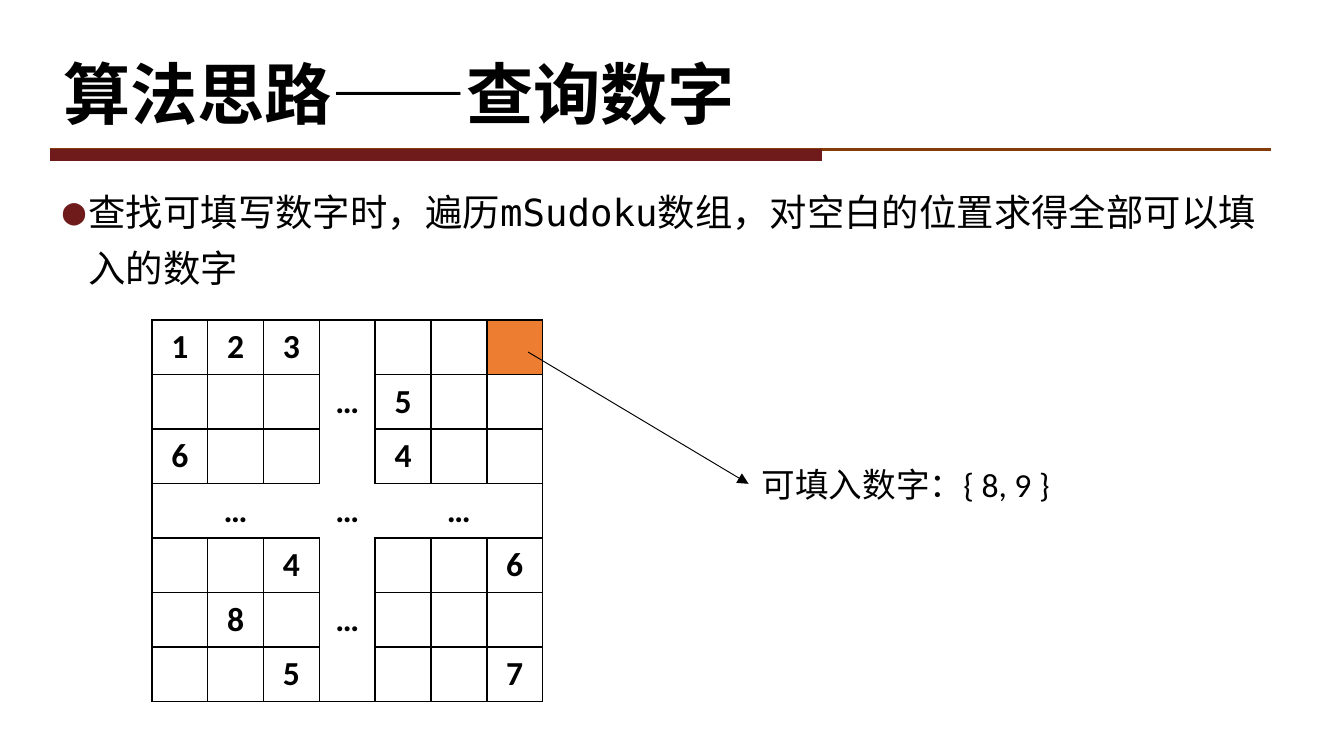
from itertools import product

from lxml.etree import SubElement
from pptx import Presentation
from pptx.dml.color import RGBColor
from pptx.enum.shapes import MSO_CONNECTOR
from pptx.enum.text import MSO_ANCHOR, MSO_AUTO_SIZE, PP_ALIGN
from pptx.oxml.ns import qn
from pptx.util import Inches, Pt

BLACK = RGBColor(0x00, 0x00, 0x00)
BROWN = RGBColor(0x84, 0x3C, 0x0B)
MAROON = RGBColor(0x6F, 0x1B, 0x1B)
ORANGE = RGBColor(0xED, 0x7D, 0x31)
CHINESE = "Noto Sans CJK SC"
LATIN = "Calibri"
MONO = "DejaVu Sans Mono"
SIZE = 7
MIDDLE = SIZE // 2
LAST = SIZE - 1
SUDOKU = [
    ["1", "2", "3", "", "", "", ""],
    ["", "", "", "…", "5", "", ""],
    ["6", "", "", "", "4", "", ""],
    ["", "…", "", "…", "", "…", ""],
    ["", "", "4", "", "", "", "6"],
    ["", "8", "", "…", "", "", ""],
    ["", "", "5", "", "", "", "7"],
]


def write(frame, text, size=18, font=LATIN, asian=CHINESE, bold=False,
          align=PP_ALIGN.LEFT, spacing=1.0, before=0):
    para = frame.paragraphs[0]
    para.alignment = align
    para.line_spacing = spacing
    para.space_before = Pt(before)
    if text:
        span = para.add_run()
        span.text = text
        span.font.size = Pt(size)
        span.font.bold = bold
        span.font.name = font
        span.font.color.rgb = BLACK
        SubElement(span.font._element, qn("a:ea"), typeface=asian)
    else:
        SubElement(para._p, qn("a:endParaRPr"), sz=str(size * 100))
    return para


def add_bullet(para, character, color, indent):
    properties = para._p.get_or_add_pPr()
    properties.set("marL", str(indent))
    properties.set("indent", str(-indent))
    holder = SubElement(properties, qn("a:buClr"))
    SubElement(holder, qn("a:srgbClr"), val=str(color))
    SubElement(properties, qn("a:buFont"), typeface=MONO)
    SubElement(properties, qn("a:buChar"), char=character)


def set_borders(cell, shown):
    properties = cell._tc.get_or_add_tcPr()
    for position, (side, visible) in enumerate(shown.items()):
        line = SubElement(properties, qn(f"a:ln{side}"), w=str(Pt(1)))
        if visible:
            fill = SubElement(line, qn("a:solidFill"))
            SubElement(fill, qn("a:srgbClr"), val=str(BLACK))
        else:
            SubElement(line, qn("a:noFill"))
        properties.insert(position, line)


class SlideBuilder:
    def __init__(self, deck):
        self.unit = deck.slide_width / 100
        self.page = deck.slides.add_slide(deck.slide_layouts[5])

    def grid(self, *lengths):
        return [round(length * self.unit) for length in lengths]

    def title(self, text, *area):
        box = self.page.shapes.title
        box.left, box.top, box.width, box.height = self.grid(*area)
        box.text_frame.vertical_anchor = MSO_ANCHOR.MIDDLE
        box.text_frame.auto_size = MSO_AUTO_SIZE.NONE
        write(box.text_frame, text, size=36, font=CHINESE, bold=True, spacing=0.9)

    def text(self, text, *area, **style):
        box = self.page.shapes.add_textbox(*self.grid(*area))
        box.text_frame.word_wrap = True
        return write(box.text_frame, text, **style)

    def line(self, *ends, color=BLACK, width=0.5, arrow=False):
        connector = self.page.shapes.add_connector(
            MSO_CONNECTOR.STRAIGHT, *self.grid(*ends))
        connector.line.color.rgb = color
        connector.line.width = Pt(width)
        if arrow:
            SubElement(connector.line._get_or_add_ln(), qn("a:tailEnd"), type="triangle")
        SubElement(connector._element.spPr, qn("a:effectLst"))

    def sudoku(self, values, *area):
        table = self.page.shapes.add_table(SIZE, SIZE, *self.grid(*area)).table
        table.first_row = False
        table.horz_banding = False
        for row, column in product(range(SIZE), repeat=2):
            cell = table.cell(row, column)
            cell.vertical_anchor = MSO_ANCHOR.MIDDLE
            cell.margin_top = cell.margin_bottom = Inches(0.04)
            write(cell.text_frame, values[row][column], asian=LATIN,
                  bold=True, align=PP_ALIGN.CENTER)
            if (row, column) == (0, LAST):
                cell.fill.solid()
                cell.fill.fore_color.rgb = ORANGE
            else:
                cell.fill.background()
            set_borders(cell, {
                "L": row != MIDDLE or column == 0,
                "R": row != MIDDLE or column == LAST,
                "T": column != MIDDLE or row == 0,
                "B": column != MIDDLE or row == LAST,
            })


deck = Presentation()
deck.slide_width = Inches(10)
deck.slide_height = deck.slide_width * 9 // 16

builder = SlideBuilder(deck)
builder.line(3.7, 11.13, 94.6, 11.13, color=BROWN, width=1.5)
builder.line(3.7, 11.53, 61.2, 11.53, color=MAROON, width=6)
builder.title("算法思路——查询数字", 3.7, 1.9, 90, 10.7)
body = builder.text("查找可填写数字时，遍历mSudoku数组，对空白的位置求得全部可以填入的数字",
                    3.7, 12.75, 90.8, 41.4, size=20, font=MONO, spacing=1.25, before=7.5)
add_bullet(body, "●", MAROON, Inches(0.19))
builder.sudoku(SUDOKU, 11.3, 23.8, 29.1, 28.4)
builder.text("可填入数字：{ 8, 9 }", 55.7, 34, 23.7, 4)
builder.line(39.3, 26.2, 55.7, 36, arrow=True)

deck.save("out.pptx")
